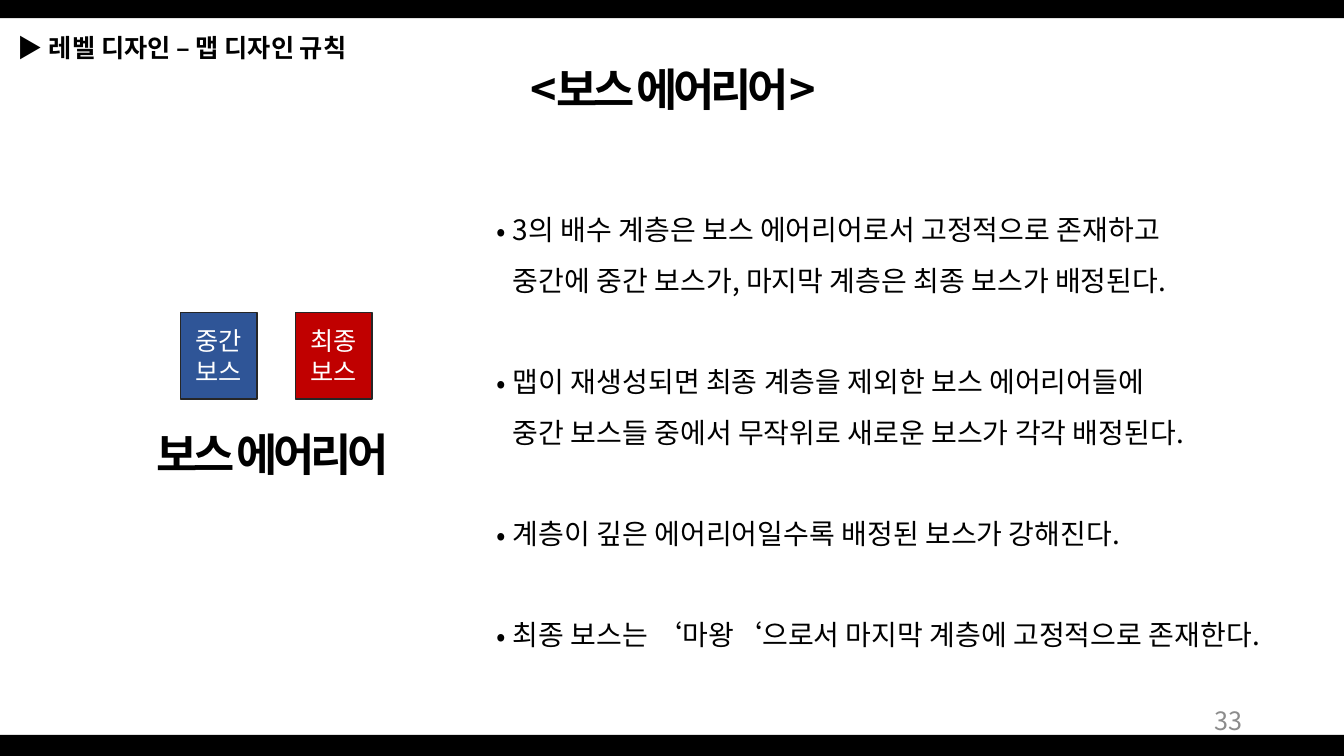
"""Build the boss area slide of a level design deck."""
from lxml import etree
from pptx import Presentation, util as u
from pptx.dml.color import RGBColor
from pptx.enum import shapes, text
from pptx.oxml import ns

BLACK = RGBColor(0, 0, 0)
WHITE = RGBColor(255, 255, 255)
GRAY = RGBColor(0x8C, 0x8C, 0x8C)
BLUE = RGBColor(0x2F, 0x55, 0x97)
RED = RGBColor(0xC0, 0, 0)
OUTLINE = RGBColor(0x26, 0x26, 0x26)
FONT = "Noto Sans CJK KR"
LINE_RATIO = 1.21
BULLET_LINE = 36.2
RULES = [
    "3의 배수 계층은 보스 에어리어로서 고정적으로 존재하고\v중간에 중간 보스가, 마지막 계층은 최종 보스가 배정된다.",
    "맵이 재생성되면 최종 계층을 제외한 보스 에어리어들에\v중간 보스들 중에서 무작위로 새로운 보스가 각각 배정된다.",
    "계층이 깊은 에어리어일수록 배정된 보스가 강해진다.",
    "최종 보스는 ‘마왕‘으로서 마지막 계층에 고정적으로 존재한다.",
]


def style(paragraph, size, color=BLACK, bold=False, align=text.PP_ALIGN.LEFT, tracking=0):
    paragraph.alignment = align
    paragraph.line_spacing = u.Pt(round(size * LINE_RATIO, 1))
    font = paragraph.font
    font.name, font.size, font.bold = FONT, u.Pt(size), bold
    font.color.rgb = color
    properties = paragraph._p.pPr.find(ns.qn("a:defRPr"))
    properties.set("spc", str(tracking * 100))
    east_asian = etree.Element(ns.qn("a:ea"), typeface=FONT)
    properties.find(ns.qn("a:latin")).addnext(east_asian)


def place(shape, left, top, width, height):
    shape.left, shape.top = u.Inches(left), u.Inches(top)
    shape.width, shape.height = u.Inches(width), u.Inches(height)


def add_box(page, area):
    box = page.shapes.add_textbox(*map(u.Inches, area))
    box.text_frame.word_wrap = True
    return box.text_frame


def add_label(page, area, words, size, **look):
    frame = add_box(page, area)
    frame.text = words
    style(frame.paragraphs[0], size, **look)
    return frame


def add_rectangle(page, area, fill):
    shape = page.shapes.add_shape(shapes.MSO_SHAPE.RECTANGLE, *map(u.Inches, area))
    shape.shadow.inherit = False
    shape.fill.solid()
    shape.fill.fore_color.rgb = fill
    shape.line.fill.background()
    return shape


def add_boss(page, left, words, fill):
    tile = add_rectangle(page, (left, 3.1, 0.76, 0.86), fill)
    tile.line.color.rgb = OUTLINE
    tile.line.width = u.Pt(1)
    frame = tile.text_frame
    frame.text = words
    frame.vertical_anchor = text.MSO_ANCHOR.MIDDLE
    for paragraph in frame.paragraphs:
        style(paragraph, 18, WHITE, align=text.PP_ALIGN.CENTER)


def add_rules(page, area, rules):
    frame = add_box(page, area)
    for index, rule in enumerate(rules):
        paragraph = frame.paragraphs[0] if index == 0 else frame.add_paragraph()
        paragraph.text = rule
        properties = paragraph._p.get_or_add_pPr()
        indent = u.Inches(0.16)
        properties.set("marL", str(indent))
        properties.set("indent", str(-indent))
        etree.SubElement(properties, ns.qn("a:buFont"), typeface=FONT)
        etree.SubElement(properties, ns.qn("a:buChar"), char="•")
        style(paragraph, 20)
        paragraph.line_spacing = u.Pt(BULLET_LINE)
        if index:
            paragraph.space_before = u.Pt(BULLET_LINE)


def set_title(page, words):
    title = page.shapes.title
    place(title, 4.73, 0.56, 3.89, 0.64)
    frame = title.text_frame
    frame.text = words
    frame.auto_size = text.MSO_AUTO_SIZE.NONE
    frame.vertical_anchor = text.MSO_ANCHOR.TOP
    style(frame.paragraphs[0], 32, bold=True, align=text.PP_ALIGN.CENTER, tracking=-3)


def main():
    deck = Presentation()
    deck.slide_width, deck.slide_height = u.Inches(13.33), u.Inches(7.5)
    page = deck.slides.add_slide(deck.slide_layouts[5])
    add_rectangle(page, (0, 7.29, 13.33, 0.21), BLACK)
    add_rectangle(page, (0, 0, 13.33, 0.18), BLACK)
    set_title(page, "<보스 에어리어>")
    number = add_label(page, (9.42, 6.95, 3, 0.4), "33", 18, color=GRAY, align=text.PP_ALIGN.RIGHT)
    number.vertical_anchor = text.MSO_ANCHOR.MIDDLE
    add_label(page, (0.08, 0.27, 4.65, 0.4), "▶ 레벨 디자인 – 맵 디자인 규칙", 18, bold=True)
    add_rules(page, (4.83, 1.89, 8.13, 4.64), RULES)
    add_label(page, (1.03, 4.18, 3.35, 0.64), "보스 에어리어", 32, bold=True,
              align=text.PP_ALIGN.CENTER, tracking=-3)
    add_boss(page, 1.79, "중간\n보스", BLUE)
    add_boss(page, 2.93, "최종\n보스", RED)
    deck.save("out.pptx")


if __name__ == "__main__":
    main()
